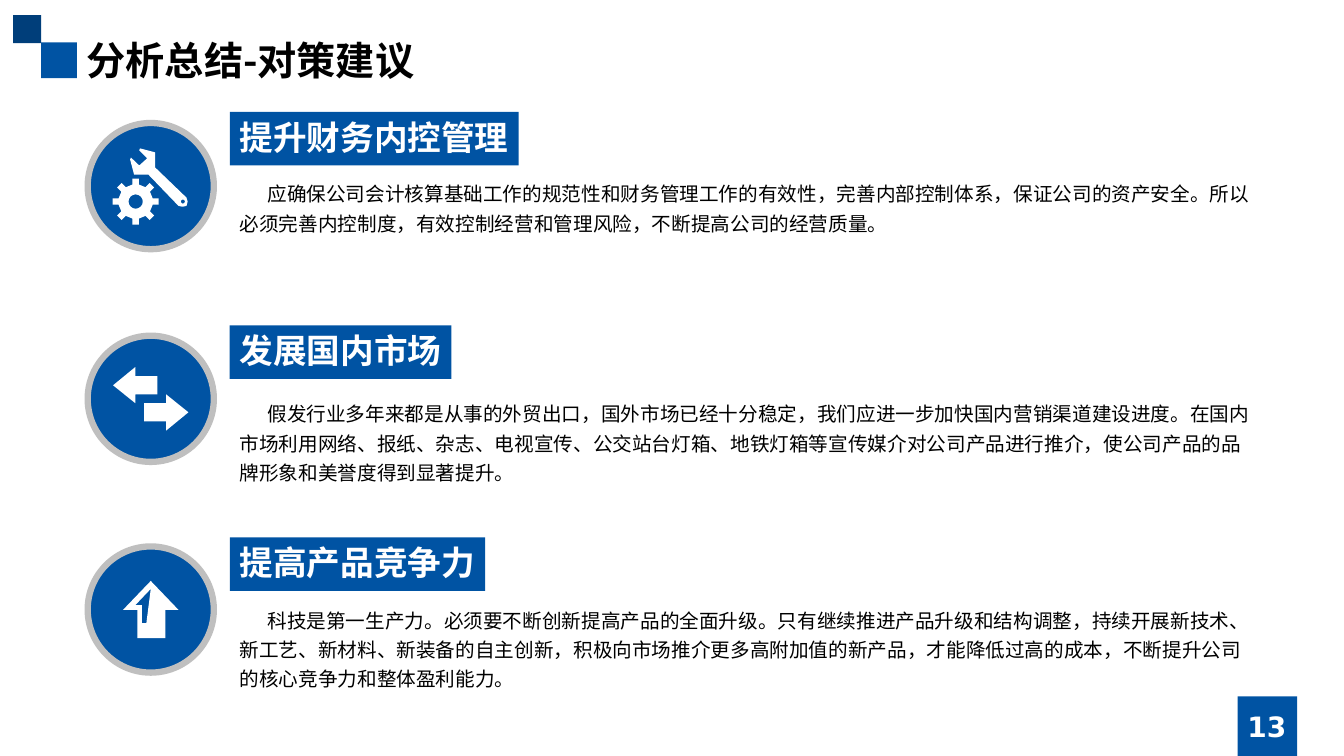
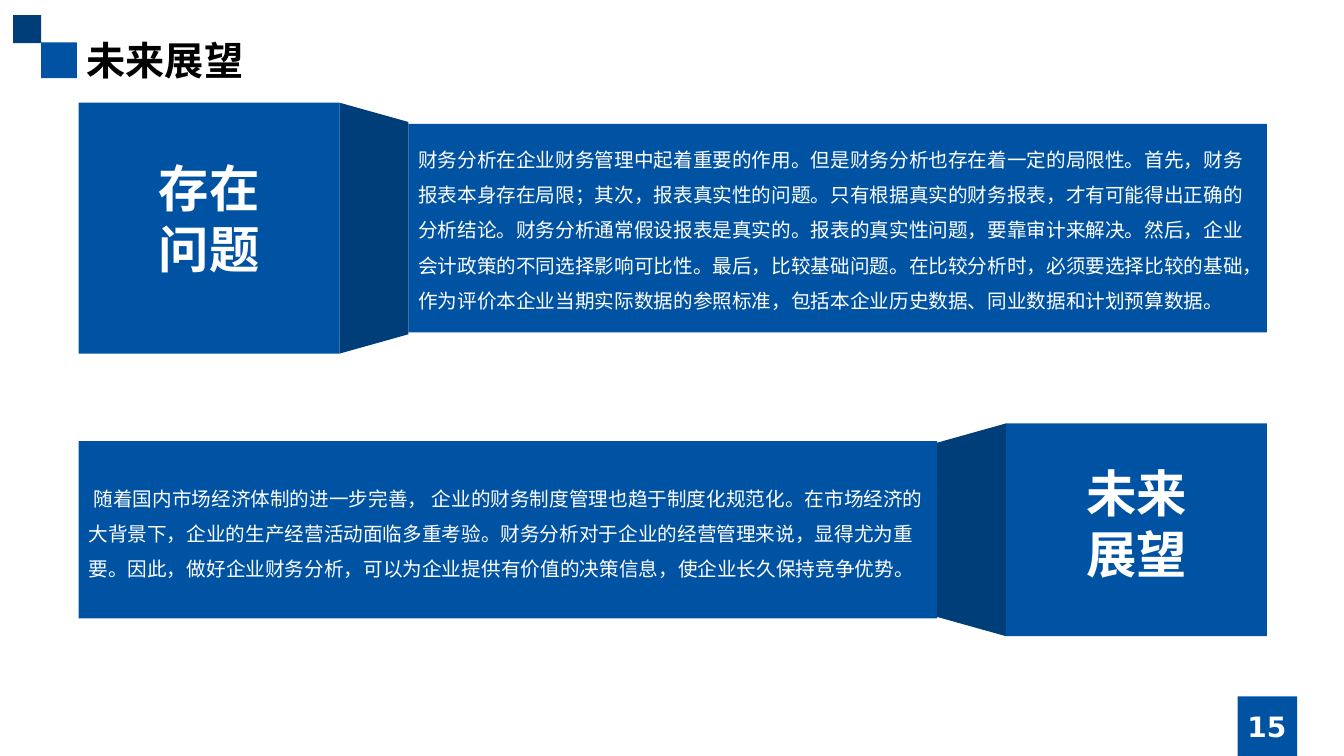
from dataclasses import dataclass
from math import cos, pi, sin

from lxml import etree
from pptx import Presentation
from pptx.dml.color import RGBColor
from pptx.enum.shapes import MSO_SHAPE
from pptx.enum.text import MSO_ANCHOR, MSO_AUTO_SIZE, PP_ALIGN
from pptx.oxml.ns import qn
from pptx.util import Cm, Pt

RECT, OVAL, TRAPEZOID = MSO_SHAPE.RECTANGLE, MSO_SHAPE.OVAL, MSO_SHAPE.TRAPEZOID
LEFT, CENTER = PP_ALIGN.LEFT, PP_ALIGN.CENTER
TOP, MIDDLE = MSO_ANCHOR.TOP, MSO_ANCHOR.MIDDLE
NO_FIT = MSO_AUTO_SIZE.NONE


@dataclass(frozen=True)
class Style:
    size: int
    font: str
    color: RGBColor
    bold: bool = False
    spacing: float = 1.0


@dataclass(frozen=True)
class Theme:
    blue = RGBColor(0x00, 0x53, 0xA3)
    navy = RGBColor(0x00, 0x3E, 0x7A)
    gray = RGBColor(0xBF, 0xBF, 0xBF)
    white = RGBColor(0xFF, 0xFF, 0xFF)
    black = RGBColor(0, 0, 0)
    east_asian = "Noto Sans CJK SC"
    title = Style(28, "Noto Sans CJK SC", black, True)
    page = Style(20, "DejaVu Sans", white, True)
    heading = Style(24, "DejaVu Sans", white, True)
    advice = Style(14, "DejaVu Sans", black, spacing=1.25)
    card = Style(36, "Arial", white, True)
    outlook = Style(14, "Arial", white, spacing=1.5)


THEME = Theme()


def turn(points, angle, center=(0, 0)):
    return [(center[0] + x * cos(angle) - y * sin(angle),
             center[1] + x * sin(angle) + y * cos(angle)) for x, y in points]


def ring(center, radius, count=16):
    return [turn([(radius, 0)], 2 * pi * i / count, center)[0] for i in range(count)]


GEAR_CENTER = (-0.38, 0.39)
TOOTH = [(-0.08, -0.43), (-0.08, -0.58), (0.08, -0.58), (0.08, -0.43)]
GEAR = [point for i in range(8) for point in turn(TOOTH, i * pi / 4, GEAR_CENTER)]
WRENCH = [(0.9, 0.29), (0.11, -0.47), (0.11, -0.85), (-0.27, -0.95), (-0.29, -0.9),
          (-0.09, -0.7), (-0.29, -0.52), (-0.5, -0.72), (-0.52, -0.67), (-0.42, -0.29),
          (-0.06, -0.29), (0.7, 0.5), (0.8, 0.52), (0.9, 0.5), (0.93, 0.39)]
LEFT_ARROW = [(0.17, -0.11), (-0.39, -0.11), (-0.39, 0.11), (-0.95, -0.34),
              (-0.39, -0.8), (-0.39, -0.57), (0.17, -0.57)]
UP_ARROW = [(-0.34, 0.72), (-0.34, 0.01), (-0.7, 0.01), (0, -0.72),
            (0.7, 0.01), (0.37, 0.01), (0.37, 0.72)]
UP_CUTOUT = [(0, -0.52), (-0.39, -0.11), (-0.22, -0.11), (-0.22, 0.34), (-0.11, 0.34)]

TOOLS_ICON = [[GEAR, ring(GEAR_CENTER, 0.18)], [WRENCH, ring((0.81, 0.39), 0.05)]]
EXCHANGE_ICON = [[LEFT_ARROW, turn(LEFT_ARROW, pi)]]
UPGRADE_ICON = [[UP_ARROW, UP_CUTOUT]]

ADVICE = [
    ("提升财务内控管理", TOOLS_ICON, 2.82, 3.1, 4.32,
     "应确保公司会计核算基础工作的规范性和财务管理工作的有效性，完善内部控制体系，"
     "保证公司的资产安全。所以必须完善内控制度，有效控制经营和管理风险，不断提高公司的经营质量。"),
    ("发展国内市场", EXCHANGE_ICON, 8.2, 8.46, 9.86,
     "假发行业多年来都是从事的外贸出口，国外市场已经十分稳定，我们应进一步加快国内营销渠道建设进度。"
     "在国内市场利用网络、报纸、杂志、电视宣传、公交站台灯箱、地铁灯箱等宣传媒介对公司产品进行推介，"
     "使公司产品的品牌形象和美誉度得到显著提升。"),
    ("提高产品竞争力", UPGRADE_ICON, 13.54, 13.77, 15.06,
     "科技是第一生产力。必须要不断创新提高产品的全面升级。只有继续推进产品升级和结构调整，"
     "持续开展新技术、新工艺、新材料、新装备的自主创新，积极向市场推介更多高附加值的新产品，"
     "才能降低过高的成本，不断提升公司的核心竞争力和整体盈利能力。"),
]

OUTLOOK = [
    dict(words=["存在", "问题"], card_first=True, top=2.59, height=6.32, bar_height=5.26,
         words_top=3.84, text_top=3.3, indent=0,
         text="财务分析在企业财务管理中起着重要的作用。但是财务分析也存在着一定的局限性。"
              "首先，财务报表本身存在局限；其次，报表真实性的问题。只有根据真实的财务报表，"
              "才有可能得出正确的分析结论。财务分析通常假设报表是真实的。报表的真实性问题，"
              "要靠审计来解决。然后，企业会计政策的不同选择影响可比性。最后，比较基础问题。"
              "在比较分析时，必须要选择比较的基础，作为评价本企业当期实际数据的参照标准，"
              "包括本企业历史数据、同业数据和计划预算数据。"),
    dict(words=["未来", "展望"], card_first=False, top=10.67, height=5.36, bar_height=4.47,
         words_top=11.53, text_top=11.84, indent=0.13,
         text="随着国内市场经济体制的进一步完善， 企业的财务制度管理也趋于制度化规范化。"
              "在市场经济的大背景下，企业的生产经营活动面临多重考验。财务分析对于企业的经营管理来说，"
              "显得尤为重要。因此，做好企业财务分析，可以为企业提供有价值的决策信息，"
              "使企业长久保持竞争优势。"),
]

CORNER_SQUARES = [(1.04, 1.07, 0.9, THEME.blue), (0.33, 0.38, 0.71, THEME.navy),
                  (31.19, 17.55, 1.5, THEME.blue)]
BADGE_LEFT, BADGE_SIZE = 2.21, 3.18
ADVICE_LEFT, ADVICE_WIDTH, ADVICE_INDENT = 5.79, 26.14, 0.7
CARD_LEFT, CARD_WIDTH, FOLD_WIDTH, BAR_WIDTH = 1.98, 6.58, 1.73, 21.64


def paint(shape, fill, line=None, line_width=0):
    shape.shadow.inherit = False
    shape.fill.solid()
    shape.fill.fore_color.rgb = fill
    if line is None:
        shape.line.fill.background()
    else:
        shape.line.color.rgb = line
        shape.line.width = Pt(line_width)
    return shape


def add_block(shapes, kind, left, top, width, height, fill, **outline):
    block = shapes.add_shape(kind, Cm(left), Cm(top), Cm(width), Cm(height))
    return paint(block, fill, **outline)


def write(shape, lines, style, align=LEFT, anchor=TOP, indent=0, wrap=True):
    frame = shape.text_frame
    frame.word_wrap = wrap
    frame.auto_size = NO_FIT
    frame.vertical_anchor = anchor
    for i, line in enumerate(lines):
        paragraph = frame.add_paragraph() if i else frame.paragraphs[0]
        paragraph.alignment = align
        paragraph.line_spacing = style.spacing
        if indent:
            paragraph._p.get_or_add_pPr().set("indent", str(Cm(indent)))
        run = paragraph.add_run()
        run.text = line
        font = run.font
        font.size, font.bold, font.name = Pt(style.size), style.bold, style.font
        font.color.rgb = style.color
        east_asian = etree.SubElement(run._r.get_or_add_rPr(), qn("a:ea"))
        east_asian.set("typeface", THEME.east_asian)


def add_text(slide, left, top, width, height, lines, style, **layout):
    box = slide.shapes.add_textbox(Cm(left), Cm(top), Cm(width), Cm(height))
    write(box, lines, style, **layout)


def add_icon(shapes, outlines, center_x, center_y):
    for contours in outlines:
        placed = [[(Cm(center_x + x), Cm(center_y + y)) for x, y in contour]
                  for contour in contours]
        builder = shapes.build_freeform(*placed[0][0])
        builder.add_line_segments(placed[0][1:])
        for contour in placed[1:]:
            builder.move_to(*contour[0])
            builder.add_line_segments(contour[1:])
        paint(builder.convert_to_shape(), THEME.white)


def build_frame(layout, slide):
    title, *unused = layout.placeholders
    for placeholder in unused:
        layout.shapes.element.remove(placeholder.element)
    title.left, title.top, title.width, title.height = Cm(1.93), Cm(0.79), Cm(30), Cm(1.52)
    squares = [add_block(slide.shapes, RECT, left, top, size, size, fill)
               for left, top, size, fill in CORNER_SQUARES]
    for square in squares:
        layout.shapes.element.append(square.element)


def add_slide(prs, title, page):
    layout = prs.slide_layouts[5]
    slide = prs.slides.add_slide(layout)
    if len(prs.slides) == 1:
        build_frame(layout, slide)
    write(slide.shapes.title, [title], THEME.title)
    add_text(slide, 30, 17.8, 3.86, 1.02, [page], THEME.page, align=CENTER, anchor=MIDDLE)
    return slide


def add_advice(slide, heading, icon, heading_top, badge_top, text_top, text):
    badge = slide.shapes.add_group_shape().shapes
    add_block(badge, OVAL, BADGE_LEFT, badge_top, BADGE_SIZE, BADGE_SIZE, THEME.blue,
              line=THEME.gray, line_width=4.5)
    add_icon(badge, icon, BADGE_LEFT + BADGE_SIZE / 2, badge_top + BADGE_SIZE / 2)
    heading_width = len(heading) * Pt(THEME.heading.size).cm + 0.51
    label = add_block(slide.shapes, RECT, ADVICE_LEFT, heading_top, heading_width, 1.35, THEME.blue)
    write(label, [heading], THEME.heading, wrap=False)
    add_text(slide, ADVICE_LEFT, text_top, ADVICE_WIDTH, 2.46, [text], THEME.advice,
             indent=ADVICE_INDENT)


def add_outlook(slide, words, card_first, top, height, bar_height, words_top, text_top, indent, text):
    if card_first:
        card_left = CARD_LEFT
        fold_left = card_left + CARD_WIDTH
        bar_left = fold_left + FOLD_WIDTH
    else:
        bar_left = CARD_LEFT
        fold_left = bar_left + BAR_WIDTH
        card_left = fold_left + FOLD_WIDTH
    shapes = slide.shapes
    add_block(shapes, RECT, card_left, top, CARD_WIDTH, height, THEME.blue)
    add_block(shapes, RECT, bar_left, top + (height - bar_height) / 2, BAR_WIDTH, bar_height, THEME.blue)
    fold = add_block(shapes, TRAPEZOID, fold_left + (FOLD_WIDTH - height) / 2,
                     top + (height - FOLD_WIDTH) / 2, height, FOLD_WIDTH, THEME.navy)
    fold.adjustments[0] = 0.28
    fold.rotation = 90 if card_first else 270
    add_text(slide, card_left, words_top, CARD_WIDTH, 3.4, words, THEME.card, align=CENTER)
    add_text(slide, bar_left, text_top, BAR_WIDTH, bar_height - 1, [text], THEME.outlook, indent=indent)


prs = Presentation()
prs.slide_width, prs.slide_height = Cm(33.87), Cm(19.05)

advice_slide = add_slide(prs, "分析总结-对策建议", "13")
for advice in ADVICE:
    add_advice(advice_slide, *advice)

outlook_slide = add_slide(prs, "未来展望", "15")
for outlook in OUTLOOK:
    add_outlook(outlook_slide, **outlook)

prs.save("out.pptx")
